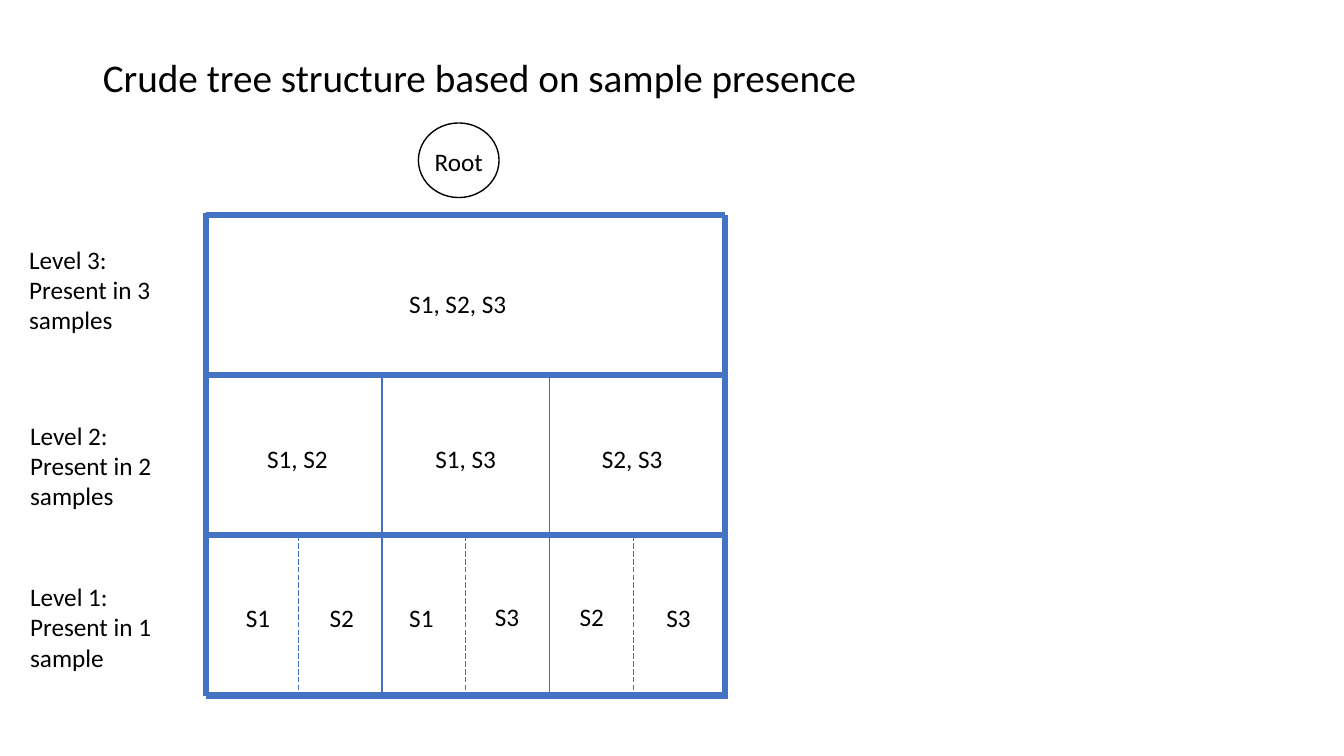
from lxml import etree
from pptx import Presentation
from pptx.dml.color import RGBColor
from pptx.enum.dml import MSO_LINE
from pptx.enum.shapes import MSO_CONNECTOR, MSO_SHAPE
from pptx.enum.text import MSO_ANCHOR, MSO_AUTO_SIZE, PP_ALIGN
from pptx.oxml.ns import qn
from pptx.util import Inches, Pt

STRAIGHT = MSO_CONNECTOR.STRAIGHT
OVAL = MSO_SHAPE.OVAL
LONG_DASH = MSO_LINE.LONG_DASH
MIDDLE = MSO_ANCHOR.MIDDLE
LEFT, CENTER = PP_ALIGN.LEFT, PP_ALIGN.CENTER
FIT_SHAPE = MSO_AUTO_SIZE.SHAPE_TO_FIT_TEXT

COLORS = {"text": "000000", "grid": "4472C4", "background": "FFFFFF"}
FONT = "Calibri"

GRID_LEFT, GRID_RIGHT = 2.04, 7.19
GRID_TOP, ROW_HEIGHT = 2.13, 1.59
ROW_EDGES = [GRID_TOP + ROW_HEIGHT * row for row in range(4)]
DIVIDER_START, DIVIDER_STEP = 2.13, 0.83

LEVELS = [
    (0.19, 2.37, "Level 3:", "Present in 3 samples"),
    (0.2, 4.12, "Level 2:", "Present in 2 samples"),
    (0.2, 5.72, "Level 1:", "Present in 1 sample"),
]
SAMPLE_SETS = [
    ("S1, S2, S3", 4.54, 3.01, 2.92, 1.06),
    ("S1, S2", 2.95, 4.55, 1.63, 0.76),
    ("S1, S3", 4.62, 4.55, 1.63, 0.76),
    ("S2, S3", 6.27, 4.55, 1.18, 0.76),
    ("S1", 2.56, 6.13, 1, 0.39),
    ("S2", 3.39, 6.13, 1, 0.39),
    ("S1", 4.18, 6.13, 1, 0.39),
    ("S3", 5.03, 6.12, 1, 0.39),
    ("S2", 5.87, 6.12, 1, 0.39),
    ("S3", 6.73, 6.13, 1, 0.39),
]


def color(name):
    return RGBColor.from_string(COLORS[name])


def write(text_frame, lines, size=18, alignment=LEFT):
    text_frame.text = "\n".join(lines)
    for paragraph in text_frame.paragraphs:
        paragraph.alignment = alignment
        paragraph.font.name = FONT
        paragraph.font.size = Pt(size)
        paragraph.font.color.rgb = color("text")


def add_title(slide, text):
    title = slide.shapes.title
    title.left, title.top = Inches(0.92), Inches(0.4)
    title.width, title.height = Inches(11.5), Inches(0.79)
    title.text_frame.vertical_anchor = MIDDLE
    write(title.text_frame, [text], 28)
    title.text_frame.paragraphs[0].line_spacing = 0.9


def add_text_box(shapes, left, top, width, height, lines, alignment=LEFT, wrap=True):
    box = shapes.add_textbox(Inches(left), Inches(top), Inches(width), Inches(height))
    box.text_frame.word_wrap = wrap
    box.text_frame.auto_size = FIT_SHAPE
    write(box.text_frame, lines, alignment=alignment)
    return box


def add_oval(shapes, left, top, width, height):
    oval = shapes.add_shape(OVAL, Inches(left), Inches(top), Inches(width), Inches(height))
    oval.shadow.inherit = False
    oval.fill.background()
    oval.line.fill.background()
    return oval


def add_sample_set(shapes, text, center_x, center_y, width, height):
    oval = add_oval(shapes, center_x - width / 2, center_y - height / 2, width, height)
    frame = oval.text_frame
    frame.margin_left = frame.margin_right = frame.margin_top = frame.margin_bottom = 0
    frame.vertical_anchor = MIDDLE
    frame.word_wrap = False
    write(frame, [text], alignment=CENTER)


def add_root(shapes):
    circle = add_oval(shapes, 4.15, 1.22, 0.8, 0.74)
    circle.line.color.rgb = color("text")
    circle.line.width = Pt(1)
    add_text_box(shapes, 4.21, 1.4, 0.68, 0.4, ["Root"], CENTER, wrap=False)


def add_line(shapes, start_x, start_y, end_x, end_y, width, dash=None):
    line = shapes.add_connector(
        STRAIGHT, Inches(start_x), Inches(start_y), Inches(end_x), Inches(end_y))
    line.line.color.rgb = color("grid")
    line.line.width = Pt(width)
    if dash is not None:
        line.line.dash_style = dash
    etree.SubElement(line._element.spPr, qn("a:effectLst"))


def add_dividers(shapes):
    for index in range(1, 6):
        x = DIVIDER_START + DIVIDER_STEP * index
        if index % 2:
            add_line(shapes, x, ROW_EDGES[2], x, ROW_EDGES[3], 0.5, LONG_DASH)
        else:
            add_line(shapes, x, ROW_EDGES[1], x, ROW_EDGES[3], 1)


def add_frame(shapes):
    for y in ROW_EDGES:
        add_line(shapes, GRID_LEFT, y, GRID_RIGHT, y, 4.5)
    add_line(shapes, GRID_LEFT, 2.11, GRID_LEFT, 6.9, 4.5)
    add_line(shapes, GRID_RIGHT, 2.13, GRID_RIGHT, 6.93, 4.5)


def main():
    presentation = Presentation()
    presentation.slide_width = Inches(13.33)
    presentation.slide_height = Inches(7.5)
    slide = presentation.slides.add_slide(presentation.slide_layouts[5])
    slide.background.fill.solid()
    slide.background.fill.fore_color.rgb = color("background")

    add_title(slide, "Crude tree structure based on sample presence")
    for left, top, *lines in LEVELS:
        add_text_box(slide.shapes, left, top, 1.61, 1.01, lines)

    tree = slide.shapes.add_group_shape().shapes
    add_dividers(tree)
    for sample_set in SAMPLE_SETS:
        add_sample_set(tree, *sample_set)
    add_frame(tree)
    add_root(tree)

    presentation.save("out.pptx")


if __name__ == "__main__":
    main()
